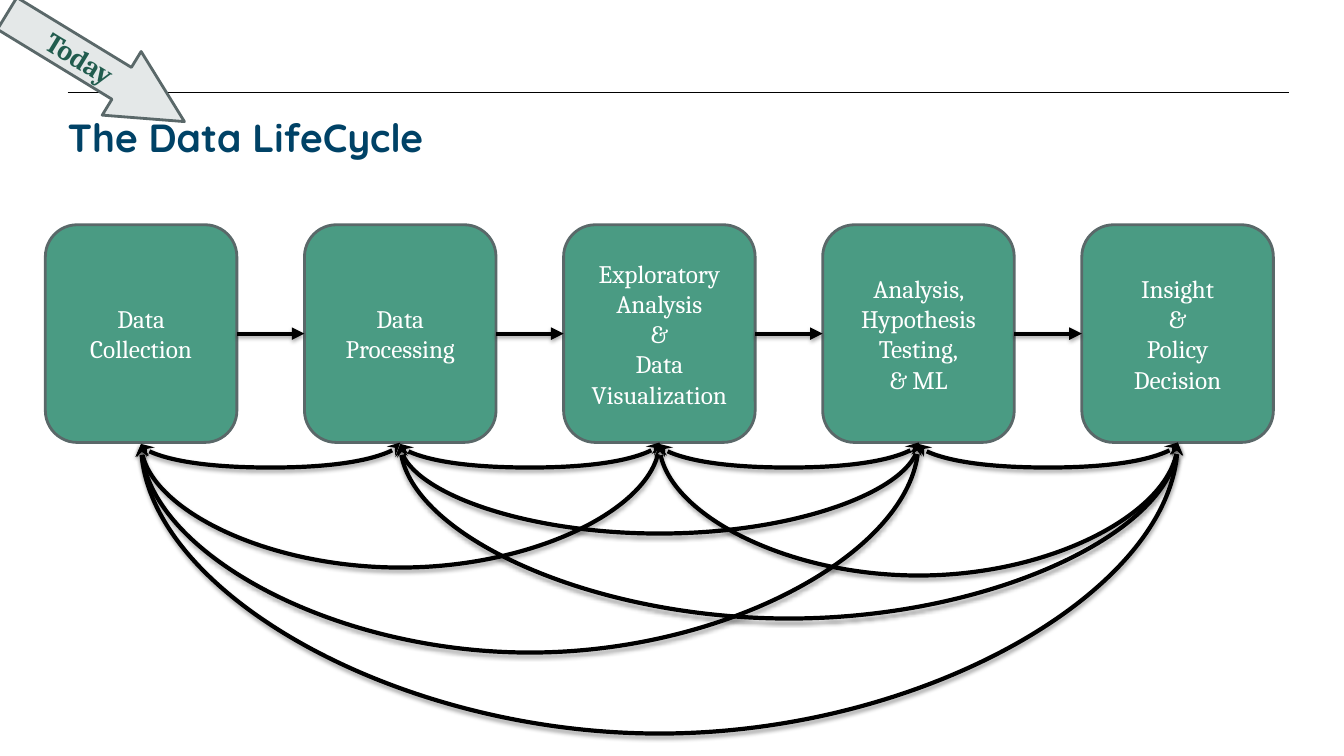
from lxml import etree
from pptx import Presentation
from pptx.dml.color import RGBColor
from pptx.enum.shapes import MSO_CONNECTOR as LINK, MSO_SHAPE as SHAPE
from pptx.enum.text import MSO_ANCHOR as ANCHOR, MSO_AUTO_SIZE as AUTO_SIZE, PP_ALIGN as ALIGN
from pptx.oxml.ns import qn
from pptx.util import Inches, Pt

BLACK = RGBColor(0x00, 0x00, 0x00)
WHITE = RGBColor(0xFF, 0xFF, 0xFF)
NAVY = RGBColor(0x00, 0x42, 0x66)
GREEN = RGBColor(0x4A, 0x9B, 0x83)
DARK_GREEN = RGBColor(0x21, 0x5C, 0x4E)
SLATE = RGBColor(0x5A, 0x68, 0x69)
PALE = RGBColor(0xE4, 0xE8, 0xE8)

STAGES = [
    "Data Collection",
    "Data Processing",
    "Exploratory Analysis\n&\nData Visualization",
    "Analysis, Hypothesis Testing,\n& ML",
    "Insight\n&\nPolicy Decision",
]
STAGE_LEFT, STAGE_TOP, STAGE_STEP = 0.45, 2.23, 2.57
STAGE_WIDTH, STAGE_HEIGHT = 1.9, 2.16
NEIGHBOUR_DROP = 0.25
LONG_DROPS = {(2, 0): 1.25, (3, 1): 0.91, (3, 0): 2.1,
              (4, 2): 1.33, (4, 1): 1.76, (4, 0): 2.91}


def format_text(frame, font_name, size, color, bold=False, align=ALIGN.CENTER):
    frame.word_wrap = True
    frame.vertical_anchor = ANCHOR.MIDDLE
    for paragraph in frame.paragraphs:
        paragraph.alignment = align
        for run in paragraph.runs:
            run.font.name = font_name
            run.font.size = Pt(size)
            run.font.bold = bold
            run.font.color.rgb = color


def add_title(slide, text):
    title = slide.shapes.title
    title.left, title.top = Inches(0.67), Inches(1.12)
    title.width, title.height = Inches(12), Inches(0.47)
    frame = title.text_frame
    frame.text = text
    frame.auto_size = AUTO_SIZE.NONE
    frame.margin_left = frame.margin_right = frame.margin_top = frame.margin_bottom = 0
    format_text(frame, "Quicksand", 28, NAVY, True, ALIGN.LEFT)


def add_block(slide, preset, left, top, width, height, fill, text):
    block = slide.shapes.add_shape(
        preset, Inches(left), Inches(top), Inches(width), Inches(height))
    block.shadow.inherit = False
    block.fill.solid()
    block.fill.fore_color.rgb = fill
    block.line.color.rgb = SLATE
    block.line.width = Pt(2)
    block.text_frame.text = text
    return block


def add_stage(slide, index, text):
    stage = add_block(slide, SHAPE.ROUNDED_RECTANGLE, STAGE_LEFT + index * STAGE_STEP,
                      STAGE_TOP, STAGE_WIDTH, STAGE_HEIGHT, GREEN, text)
    format_text(stage.text_frame, "Cambria", 18, WHITE)
    return stage


def add_link(slide, kind, begin, end, width, ends=None, shadow=True):
    link = slide.shapes.add_connector(kind, *begin, *end)
    link.line.color.rgb = BLACK
    link.line.width = Pt(width)
    properties = link.element.spPr
    for tag, arrow in (ends or {}).items():
        etree.SubElement(properties.find(qn("a:ln")), qn(tag), type=arrow)
    effects = etree.SubElement(properties, qn("a:effectLst"))
    if shadow:
        outer = etree.SubElement(effects, qn("a:outerShdw"), blurRad=str(Pt(3.1)),
                                 dist=str(Pt(1.8)), dir="5400000", rotWithShape="0")
        color = etree.SubElement(outer, qn("a:srgbClr"), val=str(BLACK))
        etree.SubElement(color, qn("a:alpha"), val="35000")
    return link


def add_forward_arrow(slide, source, target):
    middle = source.top + source.height // 2
    arrow = add_link(slide, LINK.STRAIGHT, (source.left + source.width, middle),
                     (target.left, middle), 3, {"a:tailEnd": "triangle"})
    arrow.begin_connect(source, 3)
    arrow.end_connect(target, 1)


def add_feedback_curve(slide, later, earlier, drop):
    thickness = Pt(1)
    span = later.left - earlier.left
    center_x = earlier.left + earlier.width // 2 + span // 2
    top = later.top + later.height + thickness // 2 - span // 2
    left = center_x - thickness // 2
    curve = add_link(slide, LINK.CURVE, (left, top), (left + thickness, top + span), 3,
                     {"a:headEnd": "stealth", "a:tailEnd": "stealth"})
    properties = curve.element.spPr
    properties.find(qn("a:xfrm")).set("rot", "5400000")
    geometry = properties.find(qn("a:prstGeom"))
    adjustments = geometry.find(qn("a:avLst"))
    if adjustments is None:
        adjustments = etree.SubElement(geometry, qn("a:avLst"))
    bend = round(Inches(drop) / thickness * 100000)
    etree.SubElement(adjustments, qn("a:gd"), name="adj1", fmla=f"val {bend}")


def add_today_arrow(slide):
    today = add_block(slide, SHAPE.RIGHT_ARROW, -0.08, 0.3, 2.06, 0.74, PALE, "Today")
    today.adjustments[0] = 0.5
    today.adjustments[1] = 0.985
    today.rotation = 31.4
    format_text(today.text_frame, "Cambria", 20, DARK_GREEN, True)


def main():
    deck = Presentation()
    deck.slide_width, deck.slide_height = Inches(13.33), Inches(7.5)
    slide = deck.slides.add_slide(deck.slide_layouts[5])
    add_link(slide, LINK.STRAIGHT, (Inches(0.67), Inches(0.92)),
             (Inches(12.78), Inches(0.92)), 0.75, shadow=False)
    add_title(slide, "The Data LifeCycle")
    stages = [add_stage(slide, index, text) for index, text in enumerate(STAGES)]
    for later in range(1, len(stages)):
        add_forward_arrow(slide, stages[later - 1], stages[later])
        for earlier in reversed(range(later)):
            drop = LONG_DROPS.get((later, earlier), NEIGHBOUR_DROP)
            add_feedback_curve(slide, stages[later], stages[earlier], drop)
    add_today_arrow(slide)
    deck.save("out.pptx")


if __name__ == "__main__":
    main()
